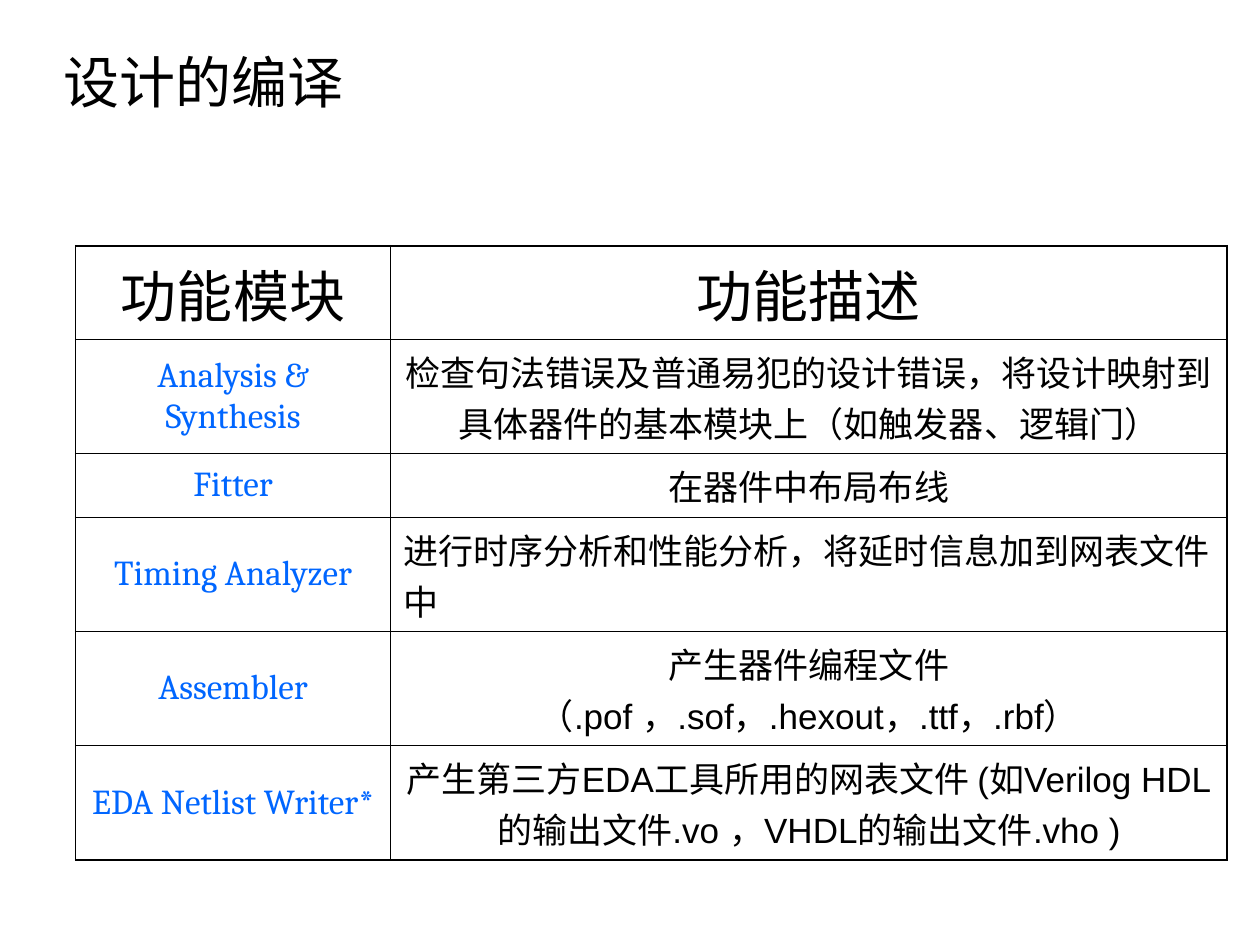
from lxml import etree
from pptx import Presentation
from pptx.dml.color import RGBColor
from pptx.enum.text import MSO_ANCHOR, MSO_AUTO_SIZE, PP_ALIGN
from pptx.oxml.ns import qn
from pptx.util import Inches, Pt

LEFT, MID = PP_ALIGN.LEFT, PP_ALIGN.CENTER
CENTRE = MSO_ANCHOR.MIDDLE
NO_FIT = MSO_AUTO_SIZE.NONE
WIDE, HIGH = Inches(10), Inches(7.5)
HEX = {"ink": "000000", "blue": "0066FF", "paper": "FFFFFF"}
HAN = "Noto Sans CJK SC"
THICK, THIN = Pt(1.08), Pt(0.45)
COLS = [0.25, 0.664]
ROWS = [0.63, 0.77, 0.43, 0.77, 0.77, 0.77]
HEADS = ["功能模块", "功能描述"]
TOOLS = [
    ("Analysis & Synthesis",
     "检查句法错误及普通易犯的设计错误，将设计映射到具体器件的基本模块上（如触发器、逻辑门）", MID),
    ("Fitter", "在器件中布局布线", MID),
    ("Timing Analyzer", "进行时序分析和性能分析，将延时信息加到网表文件中", LEFT),
    ("Assembler", "产生器件编程文件（.pof ，.sof，.hexout，.ttf，.rbf）", MID),
    ("EDA Netlist Writer*",
     "产生第三方EDA工具所用的网表文件 (如Verilog HDL的输出文件.vo ，VHDL的输出文件.vho )", MID),
]


class Deck:
    """Holds the style and the current slide, and adds each kind of element."""

    def __init__(self):
        self.file = Presentation()
        self.file.slide_width, self.file.slide_height = WIDE, HIGH
        self.slide = self.file.slides.add_slide(self.file.slide_layouts[5])

    def text(self, frame, words, size, font, ink="ink", align=LEFT):
        para = frame.paragraphs[0]
        para.alignment = align
        run = para.add_run()
        run.text = words
        run.font.size, run.font.name = Pt(size), font
        run.font.color.rgb = RGBColor.from_string(HEX[ink])
        etree.SubElement(run._r.get_or_add_rPr(), qn("a:ea"), typeface=HAN)
        return para

    def title(self, words, left, top, wide, high):
        box = self.slide.shapes.title
        box.left, box.top = int(WIDE * left), int(HIGH * top)
        box.width, box.height = int(WIDE * wide), int(HIGH * high)
        frame = box.text_frame
        frame.auto_size, frame.vertical_anchor = NO_FIT, CENTRE
        self.text(frame, words, 32, "Calibri").line_spacing = 0.9

    def edge(self, cell, side, width):
        line = etree.SubElement(cell._tc.get_or_add_tcPr(), qn(f"a:ln{side}"), w=str(width))
        fill = etree.SubElement(line, qn("a:solidFill"))
        etree.SubElement(fill, qn("a:srgbClr"), val=HEX["ink"])

    def cell(self, grid, row, col, *style):
        cell = grid.cell(row, col)
        outer = {"L": col == 0, "R": col == len(COLS) - 1,
                 "T": row == 0, "B": row == len(ROWS) - 1}
        for side, rim in outer.items():
            self.edge(cell, side, THICK if rim else THIN)
        cell.fill.solid()
        cell.fill.fore_color.rgb = RGBColor.from_string(HEX["paper"])
        cell.vertical_anchor = CENTRE
        self.text(cell.text_frame, *style)

    def table(self, left, top):
        grid = self.slide.shapes.add_table(
            len(ROWS), len(COLS), int(WIDE * left), int(HIGH * top),
            int(WIDE * sum(COLS)), Inches(sum(ROWS))).table
        grid.first_row = grid.horz_banding = False
        for col, share in zip(grid.columns, COLS):
            col.width = int(WIDE * share)
        for row, high in zip(grid.rows, ROWS):
            row.height = Inches(high)
        for col, head in enumerate(HEADS):
            self.cell(grid, 0, col, head, 32, HAN, "ink", MID)
        for row, (name, role, align) in enumerate(TOOLS, 1):
            self.cell(grid, row, 0, name, 20, "Cambria", "blue", MID)
            self.cell(grid, row, 1, role, 20, "Arial", "ink", align)


def main():
    deck = Deck()
    deck.title("设计的编译", 0.04, 0.04, 0.91, 0.1)
    deck.table(0.06, 0.26)
    deck.file.save("out.pptx")


if __name__ == "__main__":
    main()
